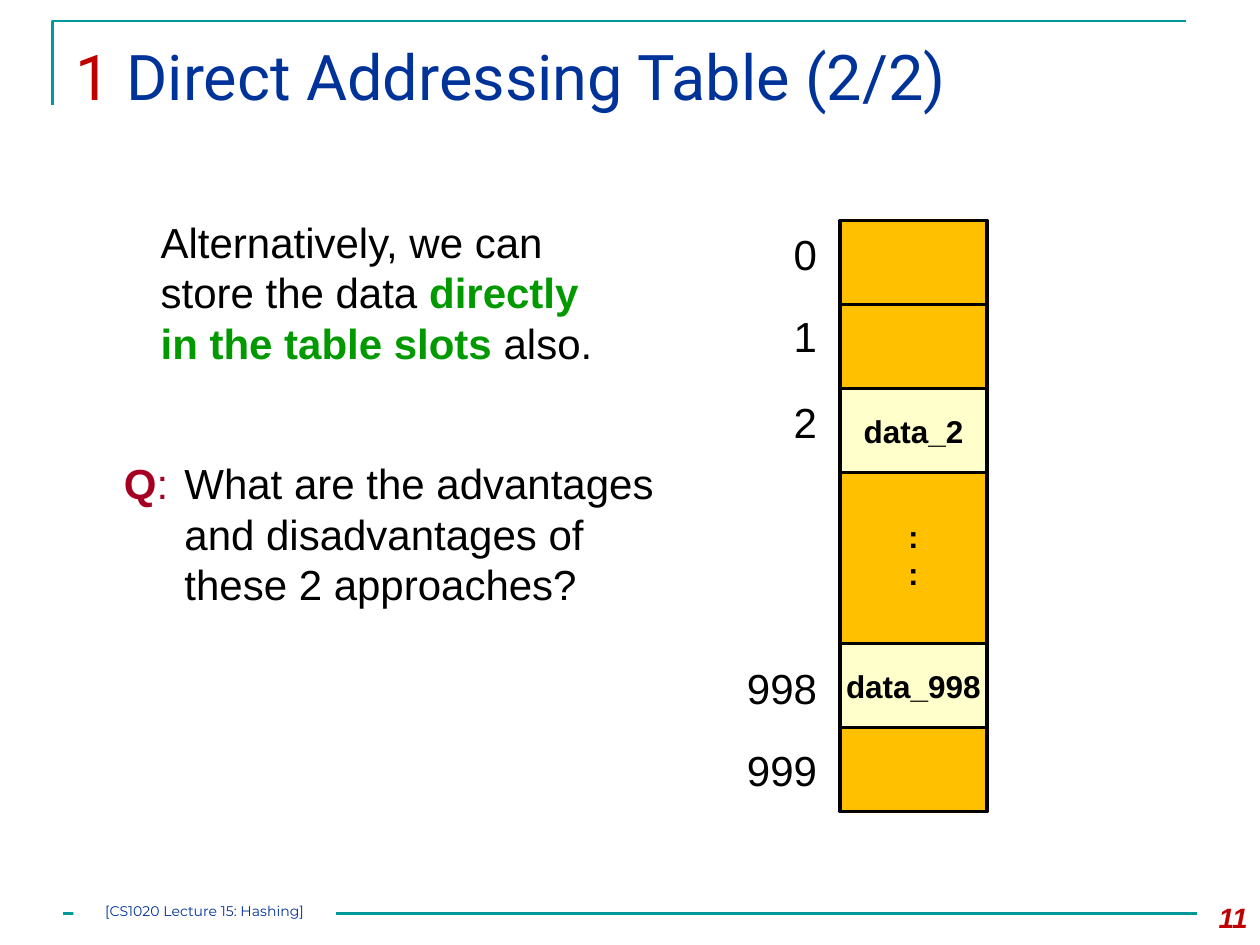
"""Build the slide on direct addressing tables."""
from typing import NamedTuple

from lxml.etree import SubElement
from pptx import Presentation
from pptx.dml.color import RGBColor
from pptx.enum.shapes import MSO_CONNECTOR, MSO_SHAPE
from pptx.enum.text import MSO_ANCHOR, PP_ALIGN
from pptx.oxml.ns import qn
from pptx.util import Inches, Pt

TEAL = RGBColor(0x00, 0x99, 0x99)
NAVY = RGBColor(0x00, 0x33, 0x99)
RED = RGBColor(0xC0, 0x00, 0x00)
CRIMSON = RGBColor(0xA5, 0x00, 0x21)
GREEN = RGBColor(0x00, 0x99, 0x00)
AMBER = RGBColor(0xFF, 0xC0, 0x00)
CREAM = RGBColor(0xFF, 0xFF, 0xCC)
BLACK = RGBColor(0x00, 0x00, 0x00)
WHITE = RGBColor(0xFF, 0xFF, 0xFF)

COLS, ROWS = 120, 90
SLOT_COL, SLOT_W, SLOT_H = 80, 14, 8
LABEL_COL, LABEL_W, LABEL_H = 68, 11, 6


class Run(NamedTuple):
    text: str
    color: RGBColor = BLACK
    bold: bool = False
    italic: bool = False


class Slot(NamedTuple):
    row: float
    height: float = SLOT_H
    fill: RGBColor = AMBER
    data: tuple = ()
    label: str = ""
    label_row: float = 0


SLOTS = [
    Slot(44.3, 17, data=(":", ":")),
    Slot(21, label="0", label_row=21.2),
    Slot(29, label="1", label_row=29),
    Slot(37, fill=CREAM, data=("data_2",), label="2", label_row=37.2),
    Slot(61.3, fill=CREAM, data=("data_998",), label="998", label_row=62.5),
    Slot(69.3, label="999", label_row=70.3),
]


def grid(*cells: float) -> list:
    """Turn grid cells into lengths."""
    return [Inches(c / 12) for c in cells]


def write(sp, *paragraphs: list, size: float = 24, font: str = "Arial",
          align=PP_ALIGN.LEFT, anchor=MSO_ANCHOR.TOP, wrap: bool = True,
          inset: float | None = None, margin: float = 0, indent: float = 0) -> None:
    """Fill a shape with paragraphs of runs."""
    tf = sp.text_frame
    tf.word_wrap, tf.vertical_anchor = wrap, anchor
    if inset is not None:
        tf.margin_left = tf.margin_right = tf.margin_top = tf.margin_bottom = Inches(inset)
    for i, runs in enumerate(paragraphs):
        p = tf.paragraphs[0] if i == 0 else tf.add_paragraph()
        p.alignment = align
        if margin:
            pPr = p._p.get_or_add_pPr()
            pPr.set("marL", str(Inches(margin)))
            pPr.set("indent", str(Inches(indent)))
            tabs = SubElement(pPr, qn("a:tabLst"))
            SubElement(tabs, qn("a:tab"), pos=str(Inches(margin)), algn="l")
        for run in runs:
            r = p.add_run()
            r.text = run.text
            r.font.name, r.font.size = font, Pt(size)
            r.font.bold, r.font.italic = run.bold, run.italic
            r.font.color.rgb = run.color


def add_text(s, box: tuple, *runs: Run, **fmt) -> None:
    """Add a one-paragraph text box."""
    write(s.shapes.add_textbox(*grid(*box)), runs, **fmt)


def add_rect(s, box: tuple, fill: RGBColor, line: RGBColor | None = None):
    """Add a flat rectangle."""
    sp = s.shapes.add_shape(MSO_SHAPE.RECTANGLE, *grid(*box))
    sp.shadow.inherit = False
    sp.fill.solid()
    sp.fill.fore_color.rgb = fill
    if line is None:
        sp.line.fill.background()
    else:
        sp.line.color.rgb, sp.line.width = line, Pt(2)
    return sp


def add_frame(s) -> None:
    """Draw the title corner and the footer rule."""
    corner = s.shapes.build_freeform(*grid(5, 10))
    corner.add_line_segments([grid(5, 2), grid(113, 2)], close=False)
    sp = corner.convert_to_shape()
    sp.shadow.inherit = False
    sp.fill.background()
    rule = s.shapes.add_connector(MSO_CONNECTOR.STRAIGHT, *grid(6, 87, 114, 87))
    SubElement(rule._element.spPr, qn("a:effectLst"))
    for edge in (sp, rule):
        edge.line.color.rgb, edge.line.width = TEAL, Pt(1.5)


def add_slot(s, slot: Slot) -> None:
    """Draw one table slot with its index."""
    sp = add_rect(s, (SLOT_COL, slot.row, SLOT_W, slot.height), slot.fill, BLACK)
    if slot.data:
        write(sp, *([Run(text, bold=True)] for text in slot.data), size=18,
              align=PP_ALIGN.CENTER, anchor=MSO_ANCHOR.MIDDLE, wrap=False)
    if slot.label:
        add_text(s, (LABEL_COL, slot.label_row, LABEL_W, LABEL_H), Run(slot.label),
                 align=PP_ALIGN.RIGHT)


def main() -> None:
    """Build and save the slide."""
    prs = Presentation()
    prs.slide_width, prs.slide_height = grid(COLS, ROWS)
    s = prs.slides.add_slide(prs.slide_layouts[6])
    add_frame(s)
    add_text(s, (6, 3, 108, 10.3), Run("1 ", RED), Run("Direct Addressing Table (2/2)", NAVY),
             size=36, font="Roboto")
    add_text(s, (112, 85.2, 8, 4.8), Run("11", RED, True, True), size=16, align=PP_ALIGN.RIGHT)
    add_text(s, (14, 20, 46, 15.7), Run("Alternatively, we can store the data "),
             Run("directly in the table slots", GREEN, True), Run(" also."), margin=0.01)
    for slot in SLOTS:
        add_slot(s, slot)
    add_text(s, (10.5, 43, 56.5, 15.7), Run("Q", CRIMSON, True), Run(":", CRIMSON),
             Run(" \tWhat are the advantages and disadvantages of these 2 approaches?"),
             margin=0.49, indent=-0.48)
    footer = add_rect(s, (7, 86, 25, 2), WHITE)
    write(footer, [Run("[CS1020 Lecture 15: Hashing]", NAVY)], size=8, font="Montserrat",
          align=PP_ALIGN.CENTER, inset=0)
    prs.save("out.pptx")


if __name__ == "__main__":
    main()
